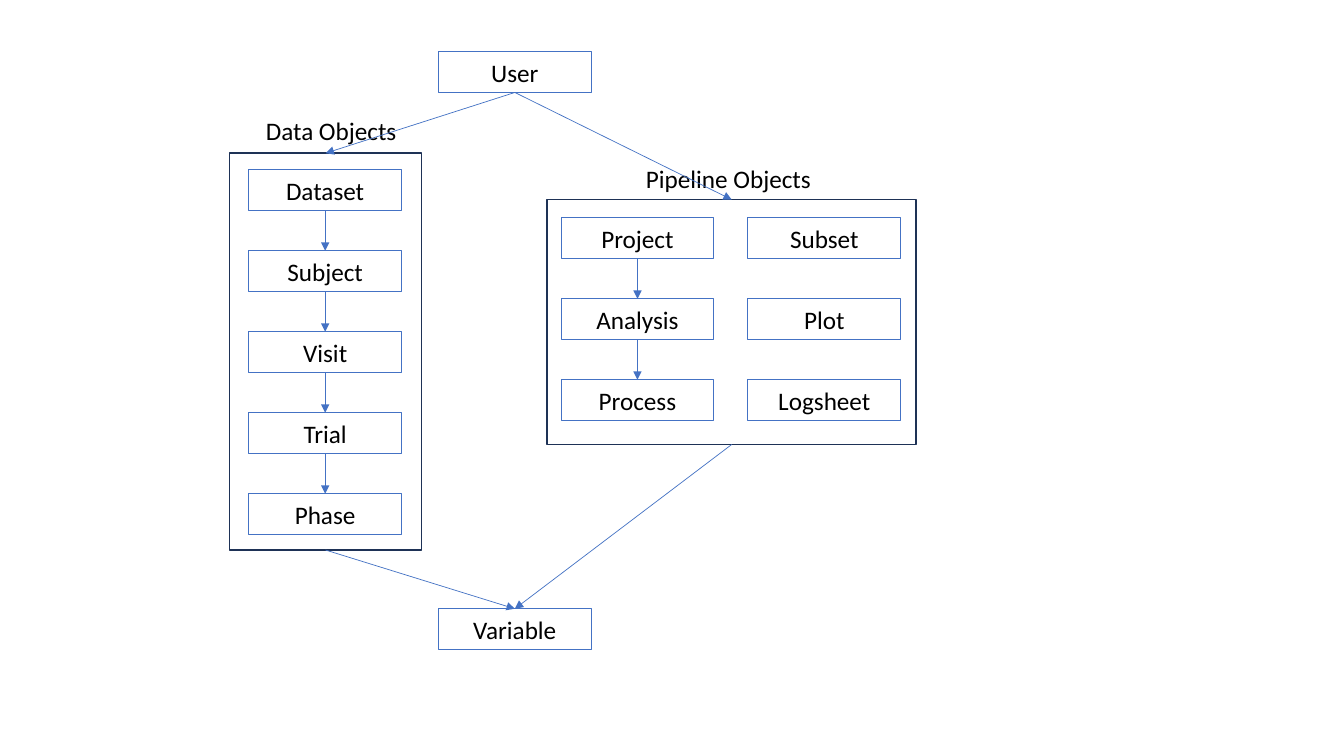
from pptx import Presentation
from pptx import util as u
from pptx.dml.color import RGBColor
from pptx.enum import shapes, text
from pptx.oxml import parse_xml
from pptx.oxml.ns import nsdecls

# Content: lengths in cm
COLORS = {"blue": "4472C4", "navy": "1E3256", "black": "000000"}
FONT = "Calibri"
BOX_WIDTH, BOX_HEIGHT = 3.85, 1.03
ROW_PITCH = 2.04

END_NODES = {"User": (11.05, 1.3), "Variable": (11.05, 15.34)}
GROUPS = [
    {
        "label": "Data Objects", "label_area": (6.45, 2.79, 3.84, BOX_HEIGHT),
        "frame": (5.79, 3.86, 4.83, 10.0), "top": 4.28,
        "columns": [
            {"left": 6.27, "chained": True,
             "names": ["Dataset", "Subject", "Visit", "Trial", "Phase"]},
        ],
    },
    {
        "label": "Pipeline Objects", "label_area": (16.03, 3.99, 4.72, BOX_HEIGHT),
        "frame": (13.79, 5.03, 9.3, 6.17), "top": 5.49,
        "columns": [
            {"left": 14.14, "chained": True,
             "names": ["Project", "Analysis", "Process"]},
            {"left": 18.85, "chained": False,
             "names": ["Subset", "Plot", "Logsheet"]},
        ],
    },
]
TOP_SITE, BOTTOM_SITE = 0, 2


def write(shape, words, align=text.PP_ALIGN.LEFT, wrap=True, size=18):
    frame = shape.text_frame
    frame.word_wrap = wrap
    frame.auto_size = text.MSO_AUTO_SIZE.SHAPE_TO_FIT_TEXT
    para = frame.paragraphs[0]
    para.alignment = align
    span = para.add_run()
    span.text = words
    span.font.name = FONT
    span.font.size = u.Pt(size)
    span.font.color.rgb = RGBColor.from_string(COLORS["black"])


def add_outline(page, area, color, weight):
    box = page.shapes.add_shape(shapes.MSO_SHAPE.RECTANGLE, *map(u.Cm, area))
    box.shadow.inherit = False
    box.fill.background()
    box.line.color.rgb = RGBColor.from_string(COLORS[color])
    box.line.width = u.Pt(weight)
    return box


def add_node(page, name, left, top):
    node = add_outline(page, (left, top, BOX_WIDTH, BOX_HEIGHT), "blue", 0.75)
    write(node, name, align=text.PP_ALIGN.CENTER)
    return node


def add_arrow(page, source, target):
    arrow = page.shapes.add_connector(shapes.MSO_CONNECTOR.STRAIGHT, 0, 0, 0, 0)
    arrow.begin_connect(source, BOTTOM_SITE)
    arrow.end_connect(target, TOP_SITE)
    arrow.line.color.rgb = RGBColor.from_string(COLORS["blue"])
    arrow.line.width = u.Pt(0.5)
    arrow.line._get_or_add_ln().append(
        parse_xml(f'<a:tailEnd {nsdecls("a")} type="triangle"/>'))
    arrow._element.spPr.append(parse_xml(f'<a:effectLst {nsdecls("a")}/>'))


def add_group(page, group):
    frame = add_outline(page, group["frame"], "navy", 1)
    label = page.shapes.add_textbox(*map(u.Cm, group["label_area"]))
    write(label, group["label"], wrap=False)
    for column in group["columns"]:
        nodes = [add_node(page, name, column["left"], group["top"] + row * ROW_PITCH)
                 for row, name in enumerate(column["names"])]
        if column["chained"]:
            for source, target in zip(nodes, nodes[1:]):
                add_arrow(page, source, target)
    return frame


def main():
    deck = Presentation()
    deck.slide_width, deck.slide_height = u.Cm(33.87), u.Cm(19.05)
    page = deck.slides.add_slide(deck.slide_layouts.get_by_name("Blank"))

    # Start and end nodes
    user, variable = [add_node(page, name, *place)
                      for name, place in END_NODES.items()]

    # Groups, each linked from the user and to the variable
    for group in GROUPS:
        frame = add_group(page, group)
        add_arrow(page, user, frame)
        add_arrow(page, frame, variable)

    deck.save("out.pptx")


if __name__ == "__main__":
    main()
